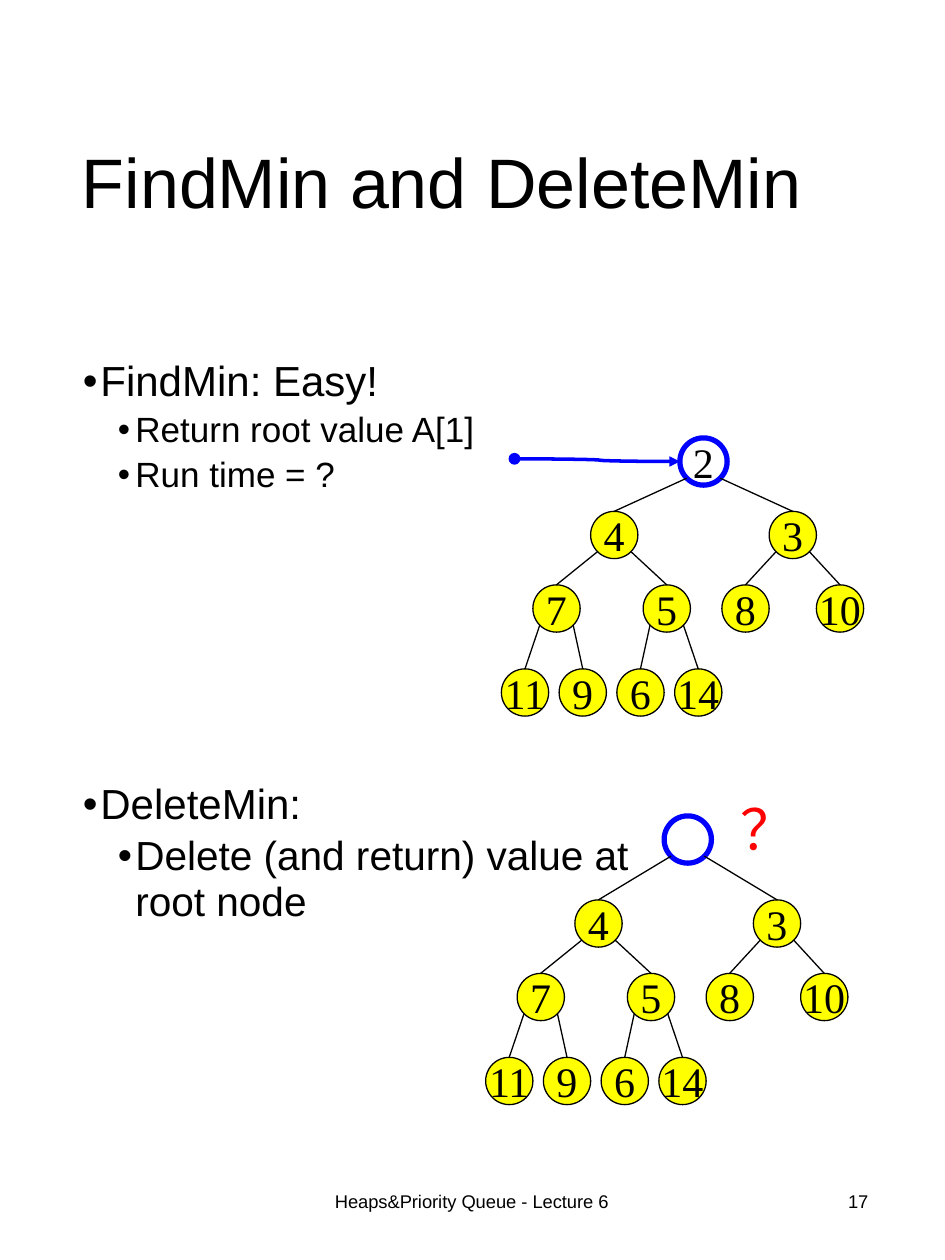
from lxml.etree import SubElement
from pptx import Presentation
from pptx.dml.color import RGBColor
from pptx.enum.shapes import MSO_CONNECTOR as Connector, MSO_SHAPE as Shape
from pptx.enum.text import MSO_ANCHOR as Anchor, MSO_AUTO_SIZE as AutoSize, PP_ALIGN as Align
from pptx.oxml.ns import qn
from pptx.util import Pt

BLACK = RGBColor(0x00, 0x00, 0x00)
BLUE = RGBColor(0x00, 0x00, 0xFF)
YELLOW = RGBColor(0xFF, 0xFF, 0x00)
RED = RGBColor(0xFF, 0x00, 0x00)

NODE_SIZE = 27
DIAGONAL = NODE_SIZE / 2 * 0.707

# Label: (left in the upper tree, depth below the root, parent label)
HEAP_NODES = {
    "4": (337.5, 0, "root"), "3": (439.5, 0, "root"),
    "7": (304.5, 1, "4"), "5": (367.5, 1, "4"),
    "8": (412.5, 1, "3"), "10": (466.5, 1, "3"),
    "11": (286.5, 2, "7"), "9": (319.5, 2, "7"),
    "6": (352.5, 2, "5"), "14": (385.5, 2, "5"),
}
ROOT_LEFT = 388.5
ROW_OFFSETS = [0, 42, 90]

# Text, level, size, space before
BODY_LINES = [
    ("FindMin: Easy!", 0, 24, 0),
    ("Return root value A[1]", 1, 20, 2.8),
    ("Run time = ?", 1, 20, 2.8),
    ("DeleteMin:", 0, 24, 163.6),
    ("Delete (and return) value at root node", 1, 23.2, 2.8),
]


def write(paragraph, text, size, font="Arial", color=BLACK, align=Align.LEFT,
          line_spacing=None, space_before=None):
    paragraph.text = text
    paragraph.alignment = align
    if line_spacing is not None:
        paragraph.line_spacing = line_spacing
    if space_before is not None:
        paragraph.space_before = Pt(space_before)
    paragraph.font.size = Pt(size)
    paragraph.font.name = font
    paragraph.font.color.rgb = color


def add_bullet(paragraph, level):
    paragraph.level = level
    properties = paragraph._p.get_or_add_pPr()
    properties.set("marL", str(Pt(30 if level else 10)))
    properties.set("indent", str(-Pt(10)))
    SubElement(properties, qn("a:buFont"), typeface="Arial")
    SubElement(properties, qn("a:buChar"), char="•")


def add_text_box(slide, left, top, width, height, text, size, anchor=Anchor.TOP,
                 wrap=True, **text_format):
    frame = slide.shapes.add_textbox(Pt(left), Pt(top), Pt(width), Pt(height)).text_frame
    frame.word_wrap = wrap
    frame.vertical_anchor = anchor
    write(frame.paragraphs[0], text, size, **text_format)
    return frame


def add_title(slide, text):
    title = slide.shapes.title
    title.left, title.top, title.width, title.height = Pt(39.6), Pt(36.7), Pt(466), Pt(139)
    frame = title.text_frame
    frame.auto_size = AutoSize.NONE
    frame.vertical_anchor = Anchor.MIDDLE
    write(frame.paragraphs[0], text, 40, line_spacing=0.9)


def add_body(slide):
    box = slide.shapes.add_textbox(Pt(40.3), Pt(201.6), Pt(340.6), Pt(398))
    frame = box.text_frame
    frame.word_wrap = True
    for index, (text, level, size, space_before) in enumerate(BODY_LINES):
        paragraph = frame.add_paragraph() if index else frame.paragraphs[0]
        add_bullet(paragraph, level)
        write(paragraph, text, size, line_spacing=0.94, space_before=space_before)


def add_circle(slide, left, top, size, fill=None, line=BLACK, line_width=0.75, label=""):
    circle = slide.shapes.add_shape(Shape.OVAL, Pt(left), Pt(top), Pt(size), Pt(size))
    circle.shadow.inherit = False
    if fill is None:
        circle.fill.background()
    else:
        circle.fill.solid()
        circle.fill.fore_color.rgb = fill
    circle.line.color.rgb = line
    circle.line.width = Pt(line_width)
    if label:
        frame = circle.text_frame
        frame.word_wrap = False
        frame.vertical_anchor = Anchor.MIDDLE
        write(frame.paragraphs[0], label, 24, font="Times New Roman", align=Align.CENTER)
    return circle


def add_line(slide, start, end, color=BLACK, width=0.75, kind=Connector.STRAIGHT):
    x1, y1, x2, y2 = (Pt(value) for value in (*start, *end))
    connector = slide.shapes.add_connector(kind, x1, y1, x2, y2)
    connector.line.color.rgb = color
    connector.line.width = Pt(width)
    SubElement(connector._element.spPr, qn("a:effectLst"))
    return connector


def add_heap(slide, root_label, root_top, first_row_top, shift=0):
    """Draw the root ring, the yellow nodes, and an edge from each parent to its child."""
    positions = {"root": (ROOT_LEFT + shift, root_top)}
    add_circle(slide, *positions["root"], NODE_SIZE, line=BLUE, line_width=3, label=root_label)
    circles = {}
    for label, (left, depth, _) in HEAP_NODES.items():
        positions[label] = (left + shift, first_row_top + ROW_OFFSETS[depth])
        circles[label] = add_circle(slide, *positions[label], NODE_SIZE, fill=YELLOW, label=label)

    radius = NODE_SIZE / 2
    for label, (_, _, parent) in HEAP_NODES.items():
        left, top = positions[label]
        parent_left, parent_top = positions[parent]
        side = -DIAGONAL if left < parent_left else DIAGONAL
        start = (parent_left + radius + side, parent_top + radius + DIAGONAL)
        edge = add_line(slide, start, (left + radius, top))
        edge.end_connect(circles[label], 0)


def add_root_pointer(slide):
    add_circle(slide, 291, 259.2, 6, fill=BLUE, line=BLUE)
    pointer = add_line(slide, (297, 262.2), (ROOT_LEFT, 263.7), color=BLUE, width=2,
                       kind=Connector.CURVE)
    SubElement(pointer.line._get_or_add_ln(), qn("a:tailEnd"), type="triangle")


def main():
    presentation = Presentation()
    presentation.slide_width, presentation.slide_height = Pt(540), Pt(720)
    slide = presentation.slides.add_slide(presentation.slide_layouts[5])

    add_title(slide, "FindMin and DeleteMin")
    add_body(slide)
    add_heap(slide, "2", 250.2, 292.2)
    add_root_pointer(slide)
    add_heap(slide, "", 466.2, 514.2, shift=-9)
    question = add_text_box(slide, 416.2, 450.7, 28, 46, "？", 32, wrap=False, color=RED)
    question.auto_size = AutoSize.SHAPE_TO_FIT_TEXT

    add_text_box(slide, 178.6, 667.4, 182.2, 38.2, "Heaps&Priority Queue - Lecture 6", 10.5,
                 anchor=Anchor.MIDDLE, align=Align.CENTER)
    add_text_box(slide, 381.6, 667.4, 121.7, 38.2, "17", 10.5,
                 anchor=Anchor.MIDDLE, align=Align.RIGHT)
    presentation.save("out.pptx")


if __name__ == "__main__":
    main()
